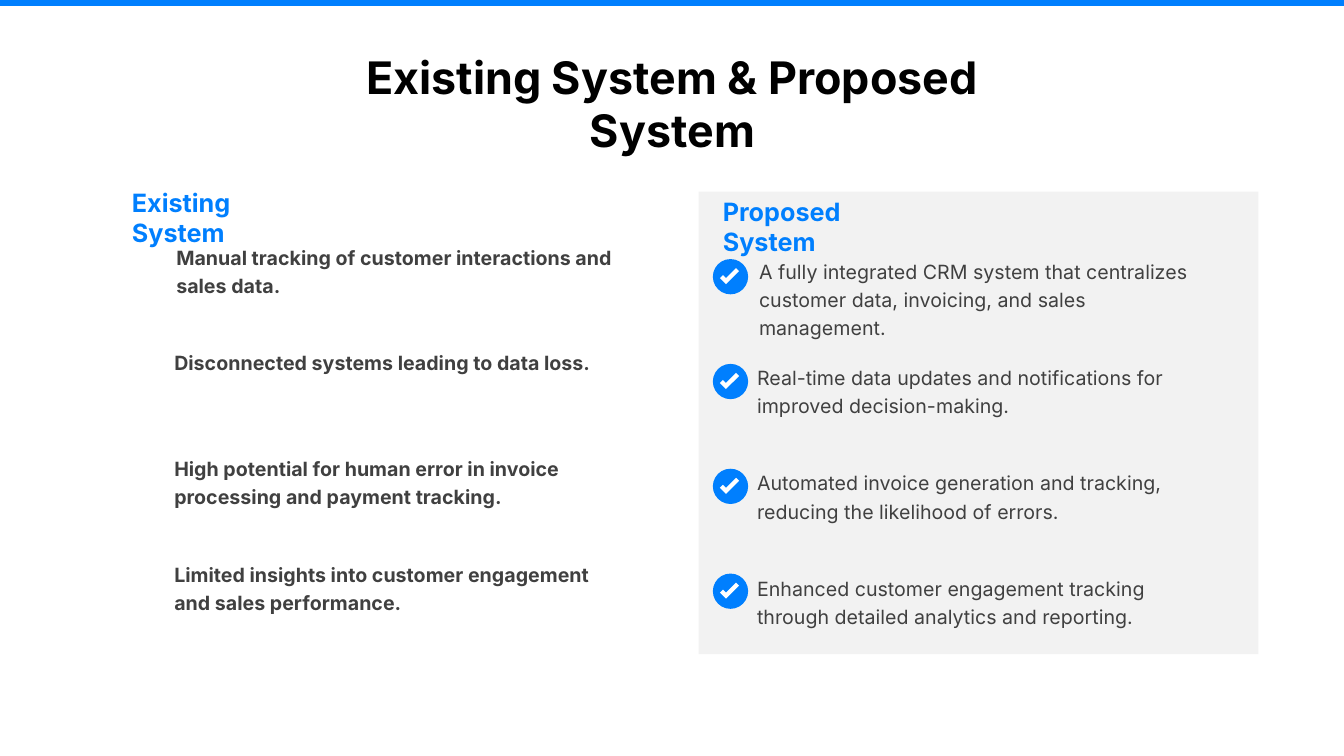
"""Builds a slide comparing the existing system with the proposed one."""
from pptx import Presentation
from pptx.dml.color import RGBColor
from pptx.enum.shapes import MSO_SHAPE as Preset
from pptx.enum.text import MSO_ANCHOR as Anchor, MSO_AUTO_SIZE as AutoSize, PP_ALIGN as Align
from pptx.util import Pt

PX = 9144
TITLE_ONLY = 5
BLUE, GREY, DARK, BLACK, WHITE = "007FFE", "F2F2F2", "404040", "000000", "FFFFFF"
TICK = [(16, 0), (6, 10), (3, 7), (0, 10), (6, 16), (19, 3)]

EXISTING = [
    "Manual tracking of customer interactions and sales data.",
    "Disconnected systems leading to data loss.",
    "High potential for human error in invoice processing and payment tracking.",
    "Limited insights into customer engagement and sales performance.",
]
PROPOSED = [
    "A fully integrated CRM system that centralizes customer data, invoicing, and sales management.",
    "Real-time data updates and notifications for improved decision-making.",
    "Automated invoice generation and tracking, reducing the likelihood of errors.",
    "Enhanced customer engagement tracking through detailed analytics and reporting.",
]


def color(value):
    return RGBColor.from_string(value)


class SlideBuilder:
    font = "Inter"

    def __init__(self, presentation):
        self.slide = presentation.slides.add_slide(presentation.slide_layouts[TITLE_ONLY])
        self.shapes = self.slide.shapes

    def set_text(self, shape, text, size, ink, bold, align=Align.LEFT, spacing=1.0):
        frame = shape.text_frame
        frame.text = text
        frame.word_wrap = True
        frame.auto_size = AutoSize.SHAPE_TO_FIT_TEXT
        frame.vertical_anchor = Anchor.TOP
        paragraph = frame.paragraphs[0]
        paragraph.alignment = align
        paragraph.line_spacing = spacing
        font = paragraph.runs[0].font
        font.name, font.size, font.bold = self.font, Pt(size), bold
        font.color.rgb = color(ink)

    def paint(self, shape, fill):
        shape.shadow.inherit = False
        shape.fill.solid()
        shape.fill.fore_color.rgb = color(fill)
        shape.line.fill.background()

    def title(self, text, left, top, width, height):
        shape = self.shapes.title
        shape.left, shape.top = left * PX, top * PX
        shape.width, shape.height = width * PX, height * PX
        self.set_text(shape, text, 32, BLACK, True, Align.CENTER)

    def text(self, text, left, top, width, height, size, ink, bold, spacing=1.0):
        shape = self.shapes.add_textbox(left * PX, top * PX, width * PX, height * PX)
        self.set_text(shape, text, size, ink, bold, spacing=spacing)

    def block(self, preset, left, top, width, height, fill):
        shape = self.shapes.add_shape(preset, left * PX, top * PX, width * PX, height * PX)
        self.paint(shape, fill)

    def heading(self, text, left, top, width):
        self.text(text, left, top, width, 40, 18, BLUE, True)

    def items(self, texts, left, top, bold):
        for row, text in enumerate(texts):
            indent = 2 if row == 0 else 0
            self.text(text, left + indent, top + 105 * row, 459, 66, 14, DARK, bold, 1.2)

    def badge(self, left, top):
        self.block(Preset.OVAL, left, top, 35, 35, BLUE)
        points = [(left + 7 + x, top + 9 + y) for x, y in TICK]
        outline = self.shapes.build_freeform(*points[0], scale=PX)
        outline.add_line_segments(points[1:], close=True)
        self.paint(outline.convert_to_shape(), WHITE)


def main():
    presentation = Presentation()
    presentation.slide_width, presentation.slide_height = 1333 * PX, 750 * PX
    builder = SlideBuilder(presentation)
    builder.title("Existing System & Proposed System", 306, 44, 722, 64)
    builder.block(Preset.RECTANGLE, 0, 0, 1333, 6, BLUE)
    builder.block(Preset.RECTANGLE, 693, 190, 555, 459, GREY)
    builder.heading("Existing System", 121, 181, 199)
    builder.items(EXISTING, 163, 234, True)
    builder.heading("Proposed System", 707, 190, 209)
    builder.items(PROPOSED, 741, 248, False)
    for row in range(len(PROPOSED)):
        builder.badge(707, 257 + 104 * row)
    presentation.save("out.pptx")


if __name__ == "__main__":
    main()
